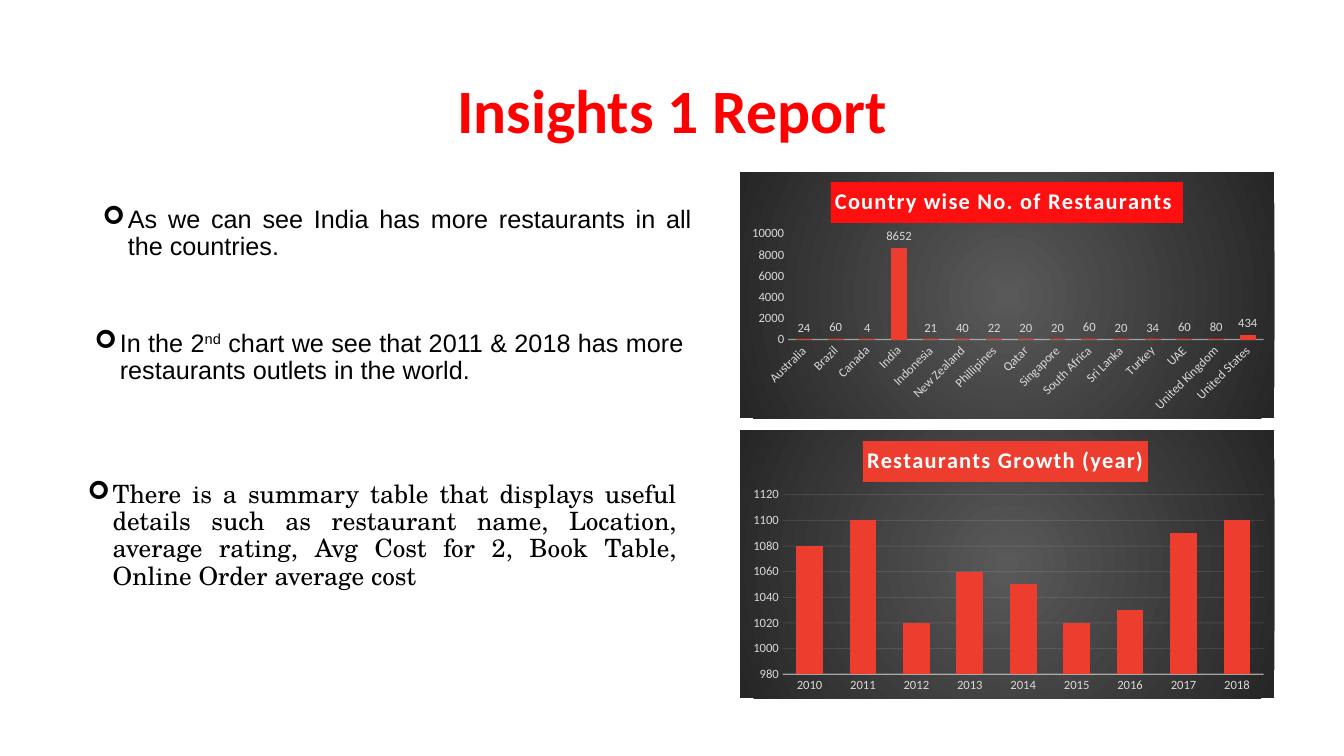
"""Build the Insights 1 Report slide with three findings and two column charts."""
from dataclasses import dataclass

from lxml.etree import SubElement
from pptx import Presentation
from pptx.chart.data import CategoryChartData
from pptx.dml.color import RGBColor
from pptx.enum.chart import XL_CHART_TYPE, XL_LABEL_POSITION, XL_TICK_MARK
from pptx.enum.text import MSO_ANCHOR, PP_ALIGN
from pptx.oxml import parse_xml
from pptx.oxml.ns import nsdecls, qn
from pptx.util import Emu, Pt

EMU_PER_PX = 9144
COLORS = {
    "title": "FF0000", "text": "000000", "banner": "FF1010", "bar": "ED3D2F",
    "label": "D9D9D9", "rule": "F2F2F2", "white": "FFFFFF",
    "center": "595959", "edge": "262626",
}


@dataclass(frozen=True)
class Span:
    text: str
    raised: bool = False


@dataclass(frozen=True)
class Finding:
    left: int
    top: int
    font: str
    spans: tuple[Span, ...]


@dataclass(frozen=True)
class ColumnChart:
    title: str
    banner: str
    top: int
    height: int
    values: dict[str, int]
    scale: tuple[int, int, int]
    title_at: tuple[float, float]
    plot_at: tuple[float, float, float, float]
    labelled: bool = False
    gridded: bool = False
    rotation: int = 0


FINDINGS = (
    Finding(92, 200, "Arial", (
        Span("As we can see India has more restaurants in all the countries."),)),
    Finding(84, 323, "Arial", (
        Span("In the 2"), Span("nd", raised=True),
        Span(" chart we see that 2011 & 2018 has more restaurants outlets in the world."))),
    Finding(77, 473, "TeX Gyre Schola", (
        Span("There is a summary table that displays useful details such as restaurant name, "
             "Location, average rating, Avg Cost for 2, Book Table, Online Order average cost"),)),
)

CHARTS = (
    ColumnChart(
        "Country wise No. of Restaurants ", "banner", 171, 244,
        {"Australia": 24, "Brazil": 60, "Canada": 4, "India": 8652, "Indonesia": 21,
         "New Zealand": 40, "Phillipines": 22, "Qatar": 20, "Singapore": 20,
         "South Africa": 60, "Sri Lanka": 20, "Turkey": 34, "UAE": 60,
         "United Kingdom": 80, "United States": 434},
        (0, 10000, 2000), (0.17, 0.04), (0.09, 0.25, 0.89, 0.43),
        labelled=True, rotation=-45),
    ColumnChart(
        "Restaurants Growth (year)", "bar", 427, 266,
        {"2010": 1080, "2011": 1100, "2012": 1020, "2013": 1060, "2014": 1050,
         "2015": 1020, "2016": 1030, "2017": 1090, "2018": 1100},
        (980, 1120, 20), (0.23, 0.04), (0.08, 0.24, 0.9, 0.67), gridded=True),
)


def px(length: int) -> Emu:
    return Emu(length * EMU_PER_PX)


def rgb(name: str) -> RGBColor:
    return RGBColor.from_string(COLORS[name])


def style_font(font, size: float, color: str, name: str = "Calibri", bold: bool = False) -> None:
    font.size, font.name, font.bold = Pt(size), name, bold
    font.color.rgb = rgb(color)


def add_box(slide, left: int, top: int, width: int, height: int):
    frame = slide.shapes.add_textbox(px(left), px(top), px(width), px(height)).text_frame
    frame.word_wrap = True
    para = frame.paragraphs[0]
    para.line_spacing = 0.9
    return frame, para


def add_title(slide) -> None:
    frame, para = add_box(slide, 92, 40, 1150, 145)
    frame.vertical_anchor = MSO_ANCHOR.MIDDLE
    para.alignment = PP_ALIGN.CENTER
    run = para.add_run()
    run.text = "Insights 1 Report"
    style_font(run.font, 44, "title", bold=True)


def add_finding(slide, finding: Finding) -> None:
    _, para = add_box(slide, finding.left, finding.top, 604, 130)
    para.alignment = PP_ALIGN.JUSTIFY
    para.space_before = Pt(10)
    properties = para._p.get_or_add_pPr()
    properties.set("marL", str(px(25)))
    properties.set("indent", str(-px(25)))
    SubElement(properties, qn("a:buFont"), typeface="Wingdings")
    SubElement(properties, qn("a:buChar"), char="➢")
    for span in finding.spans:
        run = para.add_run()
        run.text = span.text
        style_font(run.font, 18, "text", finding.font)
        if span.raised:
            run.font._element.set("baseline", "30000")


def style_line(line, width: float, opacity: int) -> None:
    line.width = Pt(width)
    line.color.rgb = rgb("rule")
    color = line._get_or_add_ln().find(".//" + qn("a:srgbClr"))
    SubElement(color, qn("a:alpha"), val=str(opacity * 1000))


def place(element, index: int, fractions: dict[str, float]) -> None:
    for old in element.findall(qn("c:layout")):
        element.remove(old)
    inner = '<c:layoutTarget val="inner"/>' if "w" in fractions else ""
    modes = "".join(f'<c:{key}Mode val="edge"/>' for key in "xy")
    sizes = "".join(f'<c:{key} val="{value}"/>' for key, value in fractions.items())
    element.insert(index, parse_xml(
        f'<c:layout {nsdecls("c")}><c:manualLayout>{inner}{modes}{sizes}'
        '</c:manualLayout></c:layout>'))


def fill_background(chart) -> None:
    stops = "".join(
        f'<a:gs pos="{position}"><a:srgbClr val="{COLORS[name]}"/></a:gs>'
        for position, name in ((0, "center"), (100000, "edge")))
    chart._chartSpace.find(qn("c:chart")).addnext(parse_xml(
        f'<c:spPr {nsdecls("c", "a")}><a:gradFill><a:gsLst>{stops}</a:gsLst>'
        '<a:path path="circle"><a:fillToRect l="50000" t="50000" r="50000" b="50000"/>'
        '</a:path></a:gradFill><a:ln><a:noFill/></a:ln></c:spPr>'))


def style_axes(chart, model: ColumnChart) -> None:
    category, value = chart.category_axis, chart.value_axis
    for axis in (category, value):
        axis.major_tick_mark = axis.minor_tick_mark = XL_TICK_MARK.NONE
        axis.has_major_gridlines = False
        style_font(axis.tick_labels.font, 9, "label")
    style_line(category.format.line, 1, 54)
    body = category._element.find(qn("c:txPr")).find(qn("a:bodyPr"))
    body.set("rot", str(model.rotation * 60000))
    value.format.line.fill.background()
    value.minimum_scale, value.maximum_scale, value.major_unit = model.scale
    if model.gridded:
        value.has_major_gridlines = True
        style_line(value.major_gridlines.format.line, 0.75, 10)


def add_column_chart(slide, model: ColumnChart) -> None:
    data = CategoryChartData()
    data.categories = list(model.values)
    data.add_series("Series 1", list(model.values.values()))
    chart = slide.shapes.add_chart(
        XL_CHART_TYPE.COLUMN_CLUSTERED, px(734), px(model.top), px(530),
        px(model.height), data).chart
    style_font(chart.font, 10, "text")
    chart.has_legend = False
    fill_background(chart)
    style_axes(chart, model)

    chart.has_title = True
    title = chart.chart_title
    run = title.text_frame.paragraphs[0].add_run()
    run.text = model.title
    style_font(run.font, 16, "white", bold=True)
    run.font._element.set("spc", "100")
    title.format.fill.solid()
    title.format.fill.fore_color.rgb = rgb(model.banner)
    place(title._element, 1, dict(zip("xy", model.title_at)))
    place(chart._chartSpace.chart.plotArea, 0, dict(zip("xywh", model.plot_at)))

    plot = chart.plots[0]
    plot.gap_width, plot.overlap, plot.vary_by_categories = 100, -24, False
    fill = plot.series[0].format.fill
    fill.solid()
    fill.fore_color.rgb = rgb("bar")
    if model.labelled:
        labels = plot.series[0].data_labels
        labels.show_value = True
        labels.position = XL_LABEL_POSITION.OUTSIDE_END
        style_font(labels.font, 9, "label")


def main() -> None:
    deck = Presentation()
    deck.slide_width, deck.slide_height = px(1333), px(750)
    page = deck.slides.add_slide(deck.slide_layouts[6])
    add_title(page)
    for finding in FINDINGS:
        add_finding(page, finding)
    for model in CHARTS:
        add_column_chart(page, model)
    deck.save("out.pptx")


if __name__ == "__main__":
    main()
